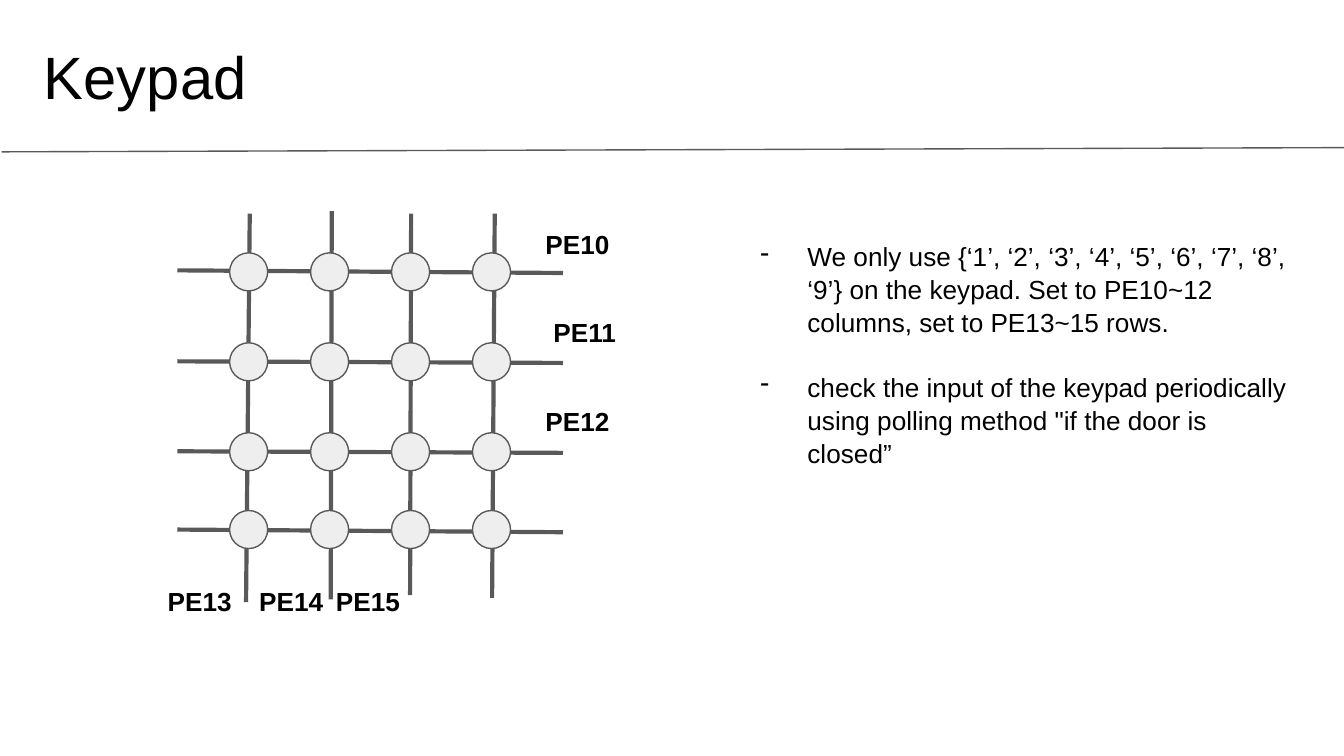
import pptx
import pptx.dml.color
import pptx.enum.shapes
import pptx.enum.text
import pptx.util
from lxml import etree
from pptx.dml.color import RGBColor
from pptx.oxml.ns import qn
from pptx.util import Cm, Pt

BLACK = RGBColor(0x00, 0x00, 0x00)
WHITE = RGBColor(0xFF, 0xFF, 0xFF)
DARK_GRAY = RGBColor(0x59, 0x59, 0x59)
LIGHT_GRAY = RGBColor(0xEE, 0xEE, 0xEE)

KEY_SIZE = 0.72
KEY_LEFT = 4.34
KEY_PITCH = 1.53
KEY_TOPS = (4.78, 6.48, 8.18, 9.65)
ROW_WIRES = ((5.11, 5.16), (6.83, 6.86), (8.53, 8.56), (10.01, 10.06))
COLUMN_WIRES = (
    (4.72, 4.04, 4.65, 11.38),
    (6.27, 3.99, 6.25, 11.33),
    (7.77, 4.04, 7.75, 11.25),
    (9.35, 4.04, 9.30, 11.30),
)
PIN_LABELS = (
    ("PE10", 10.06, 4.06),
    ("PE11", 10.21, 5.74),
    ("PE12", 10.06, 7.42),
    ("PE13", 2.92, 10.82),
    ("PE14", 4.65, 10.82),
    ("PE15", 6.10, 10.82),
)
NOTES = (
    "We only use {‘1’, ‘2’, ‘3’, ‘4’, ‘5’, ‘6’, ‘7’, ‘8’, ‘9’} on the keypad. "
    "Set to PE10~12 columns, set to PE13~15 rows.",
    "check the input of the keypad periodically using polling method "
    "\"if the door is closed”",
)


class KeypadSlide:
    font_name = "Arial"
    text_size = 14
    inset = Cm(0.25)

    def __init__(self, presentation):
        self.slide = presentation.slides.add_slide(presentation.slide_layouts[5])
        self.slide.background.fill.solid()
        self.slide.background.fill.fore_color.rgb = WHITE

    def format_frame(self, frame):
        frame.word_wrap = True
        frame.auto_size = pptx.enum.text.MSO_AUTO_SIZE.NONE
        frame.vertical_anchor = pptx.enum.text.MSO_ANCHOR.TOP
        frame.margin_left = frame.margin_right = self.inset
        frame.margin_top = frame.margin_bottom = self.inset

    def format_paragraph(self, paragraph, text, size, bold=False):
        paragraph.text = text
        paragraph.alignment = pptx.enum.text.PP_ALIGN.LEFT
        paragraph.font.name = self.font_name
        paragraph.font.size = Pt(size)
        paragraph.font.bold = bold
        paragraph.font.color.rgb = BLACK

    def title(self, text, left, top, width, height):
        shape = self.slide.shapes.title
        shape.left, shape.top = Cm(left), Cm(top)
        shape.width, shape.height = Cm(width), Cm(height)
        self.format_frame(shape.text_frame)
        self.format_paragraph(shape.text_frame.paragraphs[0], text, 32)

    def text_box(self, left, top, width, height):
        shape = self.slide.shapes.add_textbox(Cm(left), Cm(top), Cm(width), Cm(height))
        self.format_frame(shape.text_frame)
        return shape.text_frame

    def label(self, text, left, top):
        frame = self.text_box(left, top, 2.16, 1.12)
        self.format_paragraph(frame.paragraphs[0], text, self.text_size, bold=True)

    def bullets(self, items, left, top, width, height):
        frame = self.text_box(left, top, width, height)
        for index, item in enumerate(items):
            paragraph = frame.add_paragraph() if index else frame.paragraphs[0]
            self.format_paragraph(paragraph, item, self.text_size)
            paragraph.line_spacing = 1.05
            paragraph.space_before = Pt(17 if index else 0)
            properties = paragraph._p.get_or_add_pPr()
            properties.set("marL", str(Cm(1.27)))
            properties.set("indent", str(Cm(-0.89)))
            bullet = etree.Element(qn("a:buChar"), char="-")
            properties.insert_element_before(bullet, "a:tabLst", "a:defRPr", "a:extLst")

    def line(self, start_x, start_y, end_x, end_y, width):
        connector = self.slide.shapes.add_connector(
            pptx.enum.shapes.MSO_CONNECTOR.STRAIGHT,
            Cm(start_x), Cm(start_y), Cm(end_x), Cm(end_y),
        )
        connector.line.color.rgb = DARK_GRAY
        connector.line.width = Pt(width)
        etree.SubElement(connector._element.spPr, qn("a:effectLst"))

    def key(self, left, top):
        shape = self.slide.shapes.add_shape(
            pptx.enum.shapes.MSO_SHAPE.OVAL,
            Cm(left), Cm(top), Cm(KEY_SIZE), Cm(KEY_SIZE),
        )
        shape.shadow.inherit = False
        shape.fill.solid()
        shape.fill.fore_color.rgb = LIGHT_GRAY
        shape.line.color.rgb = DARK_GRAY
        shape.line.width = Pt(0.75)


def main():
    presentation = pptx.Presentation()
    presentation.slide_width, presentation.slide_height = Cm(25.4), Cm(14.29)
    keypad = KeypadSlide(presentation)

    keypad.title("Keypad", 0.58, 0.51, 9.5, 1.88)
    keypad.line(0.03, 2.87, 25.48, 2.79, 0.75)

    for start_y, end_y in ROW_WIRES:
        keypad.line(3.35, start_y, 10.64, end_y, 2.25)
    for wire in COLUMN_WIRES:
        keypad.line(*wire, 2.25)
    for top in KEY_TOPS:
        for column in range(len(COLUMN_WIRES)):
            keypad.key(KEY_LEFT + column * KEY_PITCH, top)

    for text, left, top in PIN_LABELS:
        keypad.label(text, left, top)
    keypad.bullets(NOTES, 13.74, 4.27, 10.92, 5.89)

    presentation.save("out.pptx")


if __name__ == "__main__":
    main()
